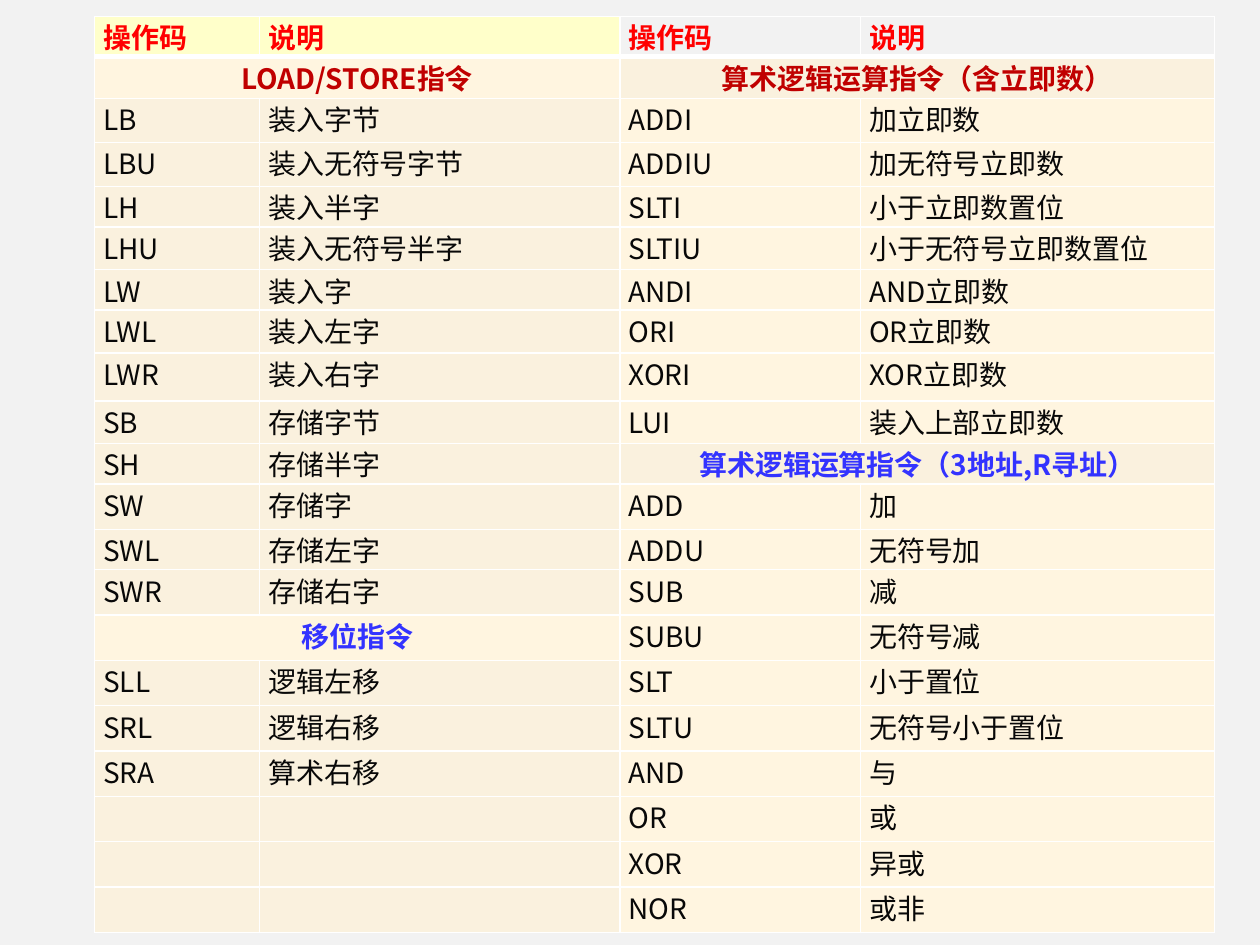
from itertools import zip_longest
from lxml.etree import SubElement
from pptx import Presentation
from pptx.dml.color import RGBColor as RGB
from pptx.enum.text import MSO_ANCHOR as Anchor, PP_ALIGN as Align
from pptx.oxml.ns import qn
from pptx.util import Inches, Pt

FONT = "Noto Sans CJK SC"
GRAY = RGB(0xF2, 0xF2, 0xF2)
YELLOW = RGB(0xFF, 0xFF, 0xCA)
CREAM = RGB(0xFF, 0xF5, 0xE0)
SAND = RGB(0xFA, 0xF1, 0xDE)
WHITE = RGB(0xFF, 0xFF, 0xFF)
BLACK = RGB(0x08, 0x08, 0x08)
RED = RGB(0xFF, 0x00, 0x00)
DARK_RED = RGB(0xC0, 0x00, 0x00)
BLUE = RGB(0x33, 0x33, 0xFF)

COLS = [1.31, 2.86, 1.91, 2.81]
ROWS = [0.3, 0.33, 0.35, 0.35, 0.31, 0.34, 0.32, 0.34, 0.38, 0.34,
        0.32, 0.36, 0.28] + [0.36] * 8
HEAD = ("操作码", "说明")

# One-item rows are section titles that span both columns of a half.
LEFT = [
    HEAD, ("LOAD/STORE指令",),
    ("LB", "装入字节"), ("LBU", "装入无符号字节"), ("LH", "装入半字"),
    ("LHU", "装入无符号半字"), ("LW", "装入字"), ("LWL", "装入左字"),
    ("LWR", "装入右字"), ("SB", "存储字节"), ("SH", "存储半字"),
    ("SW", "存储字"), ("SWL", "存储左字"), ("SWR", "存储右字"),
    ("移位指令",),
    ("SLL", "逻辑左移"), ("SRL", "逻辑右移"), ("SRA", "算术右移"),
]
RIGHT = [
    HEAD, ("算术逻辑运算指令（含立即数）",),
    ("ADDI", "加立即数"), ("ADDIU", "加无符号立即数"),
    ("SLTI", "小于立即数置位"), ("SLTIU", "小于无符号立即数置位"),
    ("ANDI", "AND立即数"), ("ORI", "OR立即数"), ("XORI", "XOR立即数"),
    ("LUI", "装入上部立即数"),
    ("算术逻辑运算指令（3地址,R寻址）",),
    ("ADD", "加"), ("ADDU", "无符号加"), ("SUB", "减"),
    ("SUBU", "无符号减"), ("SLT", "小于置位"), ("SLTU", "无符号小于置位"),
    ("AND", "与"), ("OR", "或"), ("XOR", "异或"), ("NOR", "或非"),
]


def set_all(item, values):
    for name, value in values.items():
        setattr(item, name, value)


def add_edges(cell, top, base):
    """Draw white cell borders; top and base are widths in points."""
    props = cell._tc.get_or_add_tcPr()
    for side, width in {"L": 1, "R": 1, "T": top, "B": base}.items():
        line = SubElement(props, qn(f"a:ln{side}"), w=str(Pt(width)))
        paint = SubElement(line, qn("a:solidFill"))
        SubElement(paint, qn("a:srgbClr"), val=str(WHITE))


def fill_cell(cell, text, fill, color, bold, align):
    set_all(cell, {
        "margin_left": Inches(0.07), "margin_right": Inches(0.07),
        "margin_top": 0, "margin_bottom": 0, "vertical_anchor": Anchor.TOP,
    })
    cell.fill.solid()
    cell.fill.fore_color.rgb = fill
    para = cell.text_frame.paragraphs[0]
    para.alignment = align
    run = para.add_run()
    run.text = text
    set_all(run.font, {"name": FONT, "size": Pt(16), "bold": bold})
    run.font.color.rgb = color


def fill_half(table, first, rows, head, body, band):
    """Fill two columns from first on, with fills for head, body and band."""
    for index, (row, _) in enumerate(zip_longest(rows, ROWS, fillvalue=("", ""))):
        cells = [table.cell(index, first + step) for step in range(2)]
        for cell in cells:
            add_edges(cell, 3 if index == 1 else 1, 3 if index == 0 else 1)
        if len(row) == 1:
            cells[0].merge(cells[1])
            look = band, DARK_RED if index == 1 else BLUE, True, Align.CENTER
        elif index == 0:
            look = head, RED, True, Align.LEFT
        else:
            look = body, BLACK, False, Align.LEFT
        for cell, text in zip(cells, row):
            fill_cell(cell, text, *look)


def add_codes(slide, left, top):
    frame = slide.shapes.add_table(
        len(ROWS), len(COLS), left, top, Inches(sum(COLS)), Inches(sum(ROWS)))
    table = frame.table
    set_all(table, {"first_row": False, "horz_banding": False})
    for col, width in zip(table.columns, COLS):
        col.width = Inches(width)
    for row, height in zip(table.rows, ROWS):
        row.height = Inches(height)
    fill_half(table, 0, LEFT, YELLOW, SAND, CREAM)
    fill_half(table, 2, RIGHT, GRAY, CREAM, SAND)


def main():
    deck = Presentation()
    set_all(deck, {"slide_width": Inches(10), "slide_height": Inches(7.5)})
    slide = deck.slides.add_slide(deck.slide_layouts[6])
    back = slide.background.fill
    back.solid()
    back.fore_color.rgb = GRAY
    add_codes(slide, Inches(0.75), Inches(0.13))
    deck.save("out.pptx")


if __name__ == "__main__":
    main()
